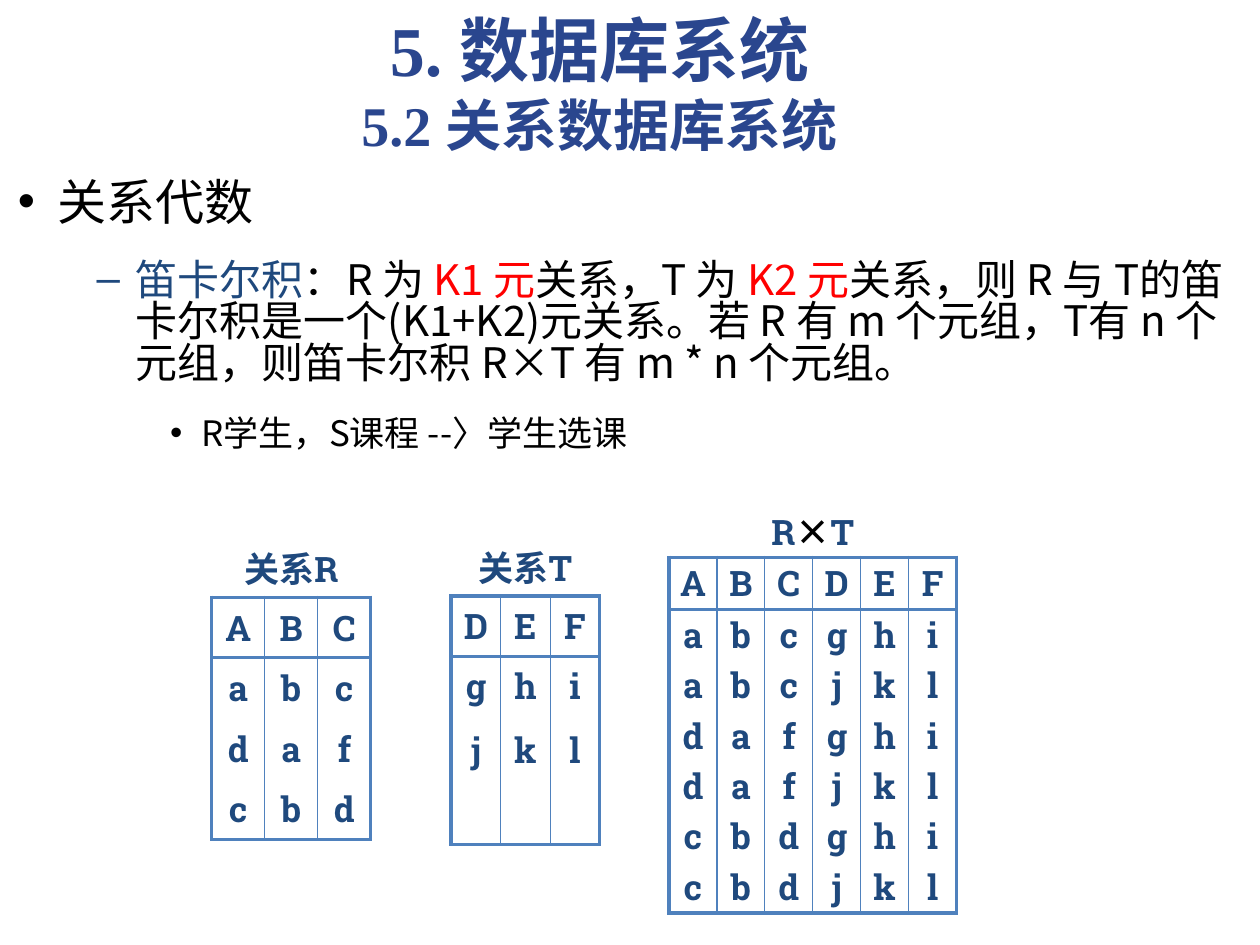
from lxml import etree
from pptx import Presentation
from pptx.dml.color import RGBColor
from pptx.enum.text import MSO_ANCHOR as Anchor, PP_ALIGN as Align
from pptx.oxml import parse_xml
from pptx.oxml.ns import qn
from pptx.util import Pt

HEX = {"navy": "1F497D", "title": "2A468E", "line": "4F81BD",
       "black": "000000", "red": "FF0000"}
SANS, SLAB, SERIF = "Noto Sans CJK SC", "Roboto Slab", "Times New Roman"
NS = 'xmlns:a="http://schemas.openxmlformats.org/drawingml/2006/main"'
THICK, THIN = 2.25, 0.75


def add_run(para, text, size, font, color, bold=False):
    run = para.add_run()
    run.text = text
    run.font.size = Pt(size)
    run.font.name = font
    run.font.bold = bold
    run.font.color.rgb = RGBColor.from_string(HEX[color])
    # East Asian glyphs take their own typeface
    east = etree.SubElement(run.font._element, qn("a:ea"))
    east.set("typeface", SANS)
    run.font._element.find(qn("a:latin")).addnext(east)


def set_edges(cell, widths):
    """Draw the left, right, top and bottom borders; 0 means none."""
    props = cell._tc.get_or_add_tcPr()
    for i, (side, width) in enumerate(zip("LRTB", widths)):
        fill = (f'<a:solidFill><a:srgbClr val="{HEX["line"]}"/></a:solidFill>'
                if width else "<a:noFill/>")
        props.insert(i, parse_xml(
            f'<a:ln{side} {NS} w="{Pt(width)}">{fill}</a:ln{side}>'))


prs = Presentation()
prs.slide_width, prs.slide_height = Pt(720), Pt(540)
slide = prs.slides.add_slide(prs.slide_layouts[1])
title, body = slide.placeholders

# Title
title.left, title.top, title.width, title.height = Pt(36.7), Pt(0), Pt(612), Pt(94.3)
title.text_frame.vertical_anchor = Anchor.MIDDLE
para = title.text_frame.paragraphs[0]
para.alignment = Align.CENTER
add_run(para, "5. 数据库系统", 40, SERIF, "title", True)
para.add_line_break()
add_run(para, "5.2 关系数据库系统", 32, SERIF, "title", True)

# List: size, left margin, hanging indent, bullet, runs
items = [
    (28, 22.5, 22.5, "•", [("关系代数", "black")]),
    (24, 67.5, 22.5, "–", [
        ("笛卡尔积", "navy"), ("：R 为 ", "black"), ("K1 元", "red"),
        ("关系，T 为 ", "black"), ("K2 元", "red"),
        ("关系，则 R 与 T的笛卡尔积是一个(K1+K2)元关系。若 R 有 m 个元组，"
         "T有 n 个元组，则笛卡尔积 R×T 有 m * n 个元组。", "black")]),
    (20, 105, 18, "•", [("R学生，S课程 --〉学生选课", "black")]),
]
body.left, body.top, body.width, body.height = Pt(3), Pt(100), Pt(703.5), Pt(232.5)
frame = body.text_frame
for level, (size, margin, hang, mark, runs) in enumerate(items):
    para = frame.add_paragraph() if level else frame.paragraphs[0]
    para.level = level
    para.space_before = Pt(18)
    para.line_spacing = 0.83
    props = para._p.get_or_add_pPr()
    props.set("marL", str(Pt(margin)))
    props.set("indent", str(-Pt(hang)))
    etree.SubElement(props, qn("a:buChar")).set("char", mark)
    for text, color in runs:
        add_run(para, text, size, SANS, color)

# Tables: left, top, column width, row heights, heading runs, rows of letters
NAVY = (SLAB, "navy")
tables = [
    (121, 306.7, 30.3, [34.6] * 5, [("关系R", *NAVY)],
     ["ABC", "abc", "daf", "cbd"]),
    (257.8, 306, 28.3, [34.6, 34.6, 33.8, 38.9, 34.6], [("关系T", *NAVY)],
     ["DEF", "ghi", "jkl", "   "]),
    (382.3, 288, 27.4, [29.8, 29.8] + [28.8] * 5 + [29.5],
     [("R", *NAVY), ("×", SANS, "black"), ("T", *NAVY)],
     ["ABCDEF", "abcghi", "abcjkl", "dafghi", "dafjkl", "cbdghi", "cbdjkl"]),
]
for left, top, wide, heights, head, lines in tables:
    cols, last = len(lines[0]), len(lines)
    grid = slide.shapes.add_table(last + 1, cols, Pt(left), Pt(top),
                                  Pt(wide * cols), Pt(sum(heights))).table
    grid.first_row = grid.horz_banding = False
    for col in grid.columns:
        col.width = Pt(wide)
    for row, high in zip(grid.rows, heights):
        row.height = Pt(high)
    grid.cell(0, 0).merge(grid.cell(0, cols - 1))
    for r in range(last + 1):
        for c in range(cols):
            cell = grid.cell(r, c)
            cell.fill.background()
            cell.vertical_anchor = Anchor.MIDDLE
            cell.margin_left = cell.margin_right = Pt(1.4)
            cell.margin_top = cell.margin_bottom = Pt(0.7)
            if r == 0:
                set_edges(cell, (0, 0, 0, THICK))
                runs = [] if c else head
            else:
                set_edges(cell, (THIN if c else THICK,
                                 THIN if c < cols - 1 else THICK,
                                 THICK if r < 3 else 0,
                                 THICK if r in (1, last) else 0))
                runs = [(lines[r - 1][c].strip(), *NAVY)]
            para = cell.text_frame.paragraphs[0]
            para.alignment = Align.CENTER
            para._p.get_or_add_pPr().append(parse_xml(
                f'<a:spcBef {NS}><a:spcPct val="20000"/></a:spcBef>'))
            for text, font, color in runs:
                if text:
                    add_run(para, text, 20, font, color, True)

prs.save("out.pptx")
